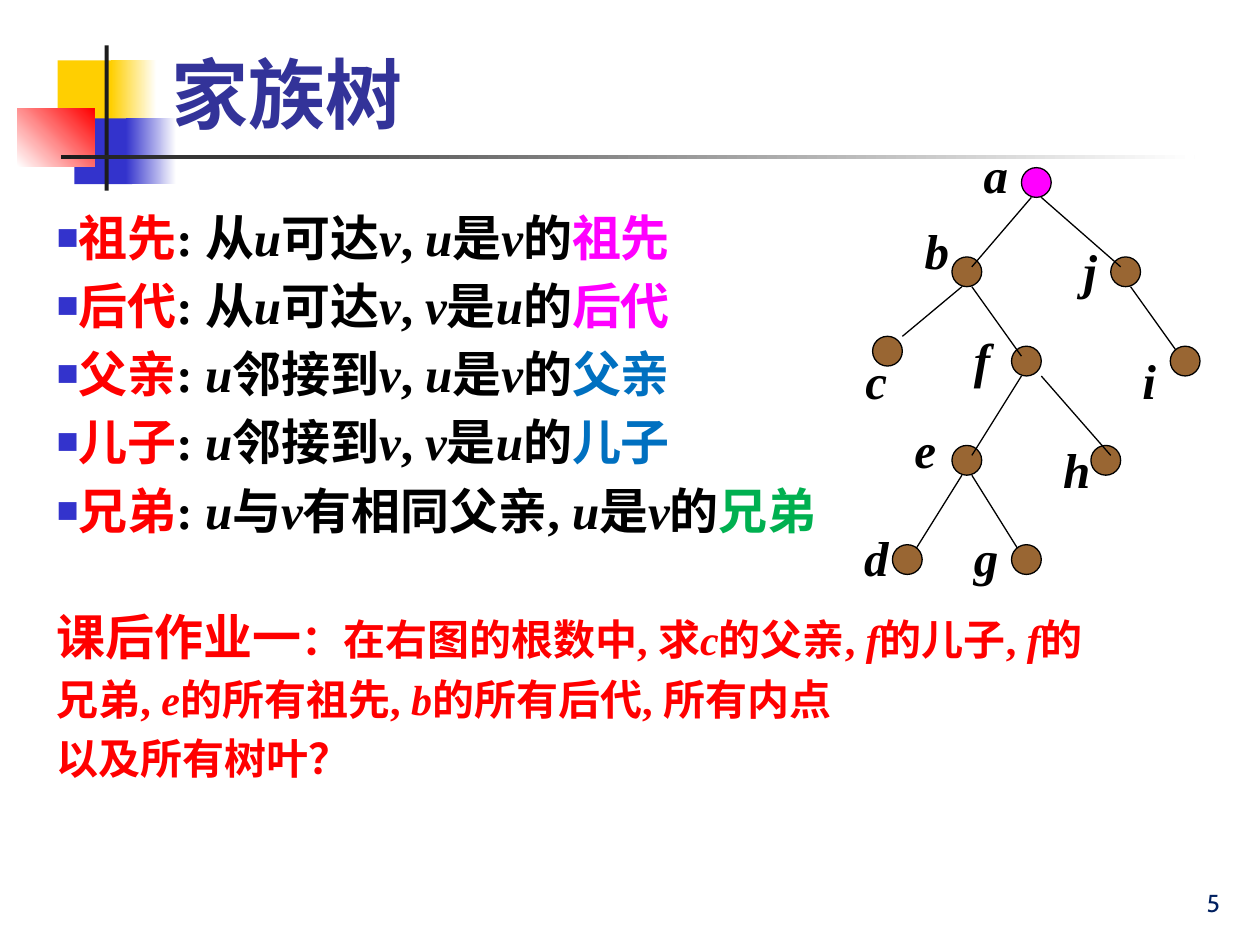
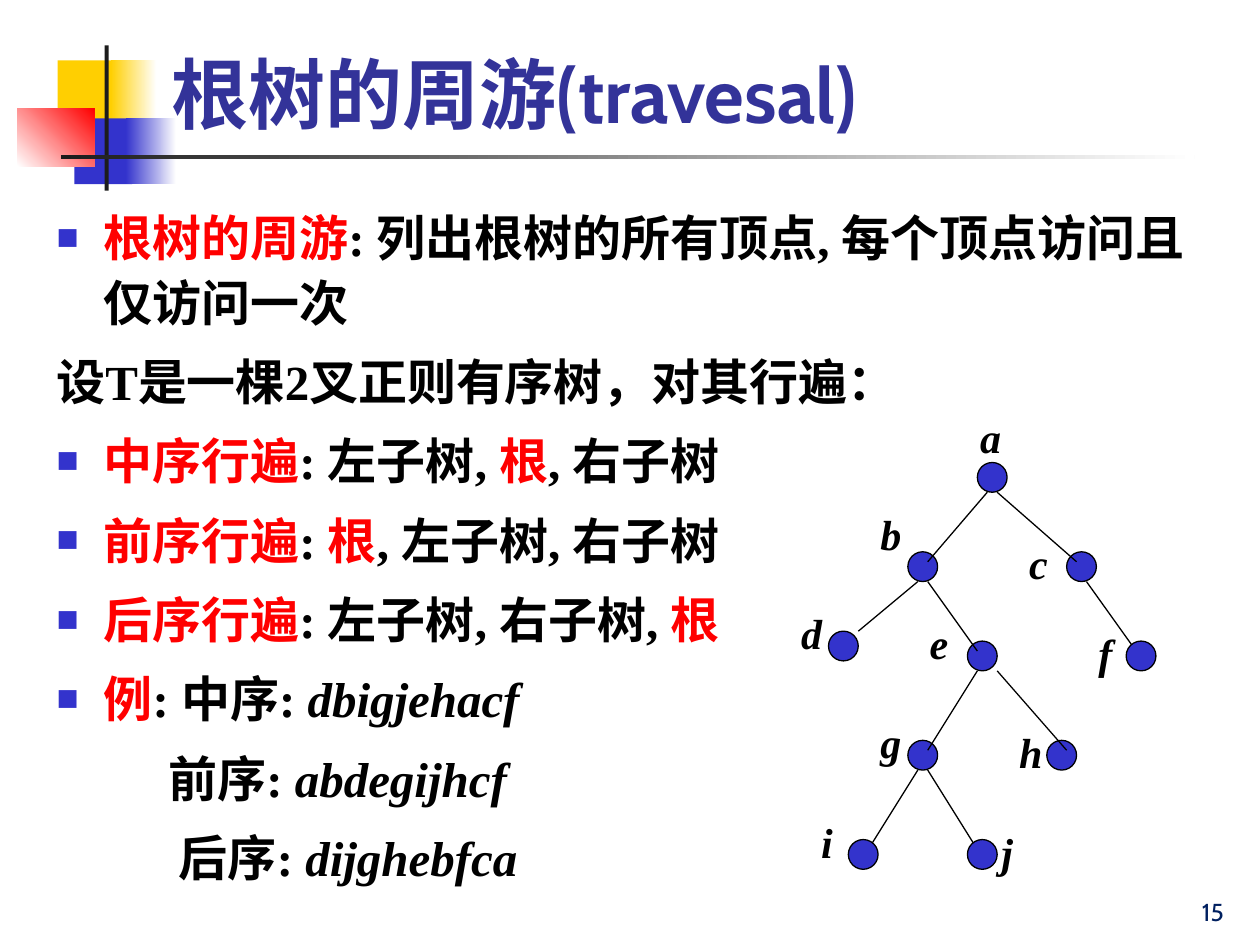
from dataclasses import dataclass
from itertools import groupby
from typing import NamedTuple, Optional

from lxml import etree
from pptx import Presentation
from pptx.dml.color import RGBColor
from pptx.enum import shapes, text
from pptx.oxml import ns
from pptx.util import Pt

BLACK = RGBColor(0x00, 0x00, 0x00)
WHITE = RGBColor(0xFF, 0xFF, 0xFF)
INK = RGBColor(0x1C, 0x1C, 0x1C)
YELLOW = RGBColor(0xFF, 0xCF, 0x01)
BLUE = RGBColor(0x33, 0x33, 0xCC)
RED = RGBColor(0xFF, 0x00, 0x00)
MAGENTA = RGBColor(0xFF, 0x00, 0xFF)
SKY = RGBColor(0x00, 0x70, 0xC0)
GREEN = RGBColor(0x00, 0xB0, 0x50)
BROWN = RGBColor(0x99, 0x66, 0x33)
TITLE_COLOR = RGBColor(0x33, 0x33, 0x99)
NUMBER_COLOR = RGBColor(0x00, 0x20, 0x60)

TITLE_FONT = "Cabin"
BODY_FONT = "Times New Roman"
BODY_SIZE = 28
HANG = 27  # width of the bullet column
GRID = 5.67  # the trees sit on a 2 mm grid


class Band(NamedTuple):
    left: float
    top: float
    width: float
    height: float
    start: RGBColor
    end: Optional[RGBColor] = None
    angle: float = 0


BANDS = [
    Band(33, 34.5, 34.5, 37.5, YELLOW),
    Band(63.4, 34.5, 26, 37.5, YELLOW, WHITE),
    Band(42.5, 67.7, 33, 37.5, BLUE),
    Band(72, 67.7, 28.8, 37.5, BLUE, WHITE),
    Band(10, 62, 44, 33.2, WHITE, RED, 45),
    Band(59.8, 26, 2.3, 83, INK),
    Band(34.7, 88.5, 648, 2.3, INK, WHITE),
]


class Span(NamedTuple):
    text: str
    color: RGBColor = BLACK
    size: float = BODY_SIZE


@dataclass
class Line:
    spans: list[Span]
    bullet: bool = True
    margin: float = 0
    indent: float = -HANG
    before: Optional[float] = None


class Node(NamedTuple):
    """Grid place of a vertex, counted from the root."""
    col: int
    row: int
    over_edges: bool = False


class Edge(NamedTuple):
    """Parent and child index, with the grid offset of each end."""
    parent: int
    child: int
    start: tuple[int, int]
    end: tuple[int, int]


NODES = [
    Node(0, 0), Node(-7, 9), Node(9, 9), Node(-15, 17), Node(-1, 18),
    Node(15, 18, True), Node(-7, 28), Node(7, 28),
    Node(-13, 38, True), Node(-1, 38, True),
]
LEFT = ((1, 3), (2, 1))
RIGHT = ((2, 3), (1, 1))
EDGES = [
    Edge(0, 1, *LEFT), Edge(0, 2, *RIGHT),
    Edge(1, 3, (1, 3), (3, 0)), Edge(1, 4, *RIGHT),
    Edge(2, 5, *RIGHT),
    Edge(4, 6, *LEFT), Edge(4, 7, (3, 3), (2, 1)),
    Edge(6, 8, *LEFT), Edge(6, 9, *RIGHT),
]


class Label(NamedTuple):
    text: str
    left: float
    top: float


@dataclass
class Tree:
    left: float
    top: float
    root_color: RGBColor
    node_color: RGBColor
    label_size: float
    labels: list[Label]


@dataclass
class Page:
    title: str
    lines: list[Line]
    gap: float
    tree: Tree
    number: str
    number_at: tuple[float, float]


def add_band(slide, band: Band) -> None:
    sp = slide.shapes.add_shape(
        shapes.MSO_SHAPE.RECTANGLE, *map(Pt, band[:4]))
    sp.shadow.inherit = False
    sp.line.fill.background()
    if band.end is None:
        sp.fill.solid()
        sp.fill.fore_color.rgb = band.start
        return
    sp.fill.gradient()
    sp.fill.gradient_angle = band.angle
    for stop, color in zip(sp.fill.gradient_stops, (band.start, band.end)):
        stop.color.rgb = color


def style(font, name: str, size: float, color: RGBColor,
          bold: bool = True, italic: bool = False) -> None:
    font.name, font.size = name, Pt(size)
    font.bold, font.italic = bold, italic
    font.color.rgb = color


def add_text(slide, left: float, top: float, width: float, height: float):
    tf = slide.shapes.add_textbox(*map(Pt, (left, top, width, height))).text_frame
    tf.word_wrap = True
    return tf


def add_title(slide, title: str) -> None:
    sp = slide.shapes.title
    sp.left, sp.top, sp.width, sp.height = map(Pt, (90.7, 5.8, 613.4, 77))
    tf = sp.text_frame
    tf.text = title
    tf.auto_size = text.MSO_AUTO_SIZE.NONE
    tf.vertical_anchor = text.MSO_ANCHOR.BOTTOM
    p = tf.paragraphs[0]
    p.alignment = text.PP_ALIGN.LEFT
    r = p.runs[0]
    style(r.font, TITLE_FONT, 44, TITLE_COLOR)
    effects = etree.Element(ns.qn("a:effectLst"))
    shadow = etree.SubElement(effects, ns.qn("a:outerShdw"),
                              dist="17961", dir="2700000")
    etree.SubElement(shadow, ns.qn("a:srgbClr"), val=str(INK))
    r.font._element.find(ns.qn("a:solidFill")).addnext(effects)


def set_bullet(p, shown: bool) -> None:
    pPr = p._p.get_or_add_pPr()
    if not shown:
        etree.SubElement(pPr, ns.qn("a:buNone"))
        return
    color = etree.SubElement(pPr, ns.qn("a:buClr"))
    etree.SubElement(color, ns.qn("a:srgbClr"), val=str(BLUE))
    etree.SubElement(pPr, ns.qn("a:buSzPct"), val="75000")
    etree.SubElement(pPr, ns.qn("a:buFont"), typeface=BODY_FONT)
    etree.SubElement(pPr, ns.qn("a:buChar"), char="■")


def is_symbol(ch: str) -> bool:
    """Vertex names are the lower-case Latin letters; they are set in italics."""
    return ch.isascii() and ch.islower()


def add_body(slide, lines: list[Line], gap: float) -> None:
    tf = add_text(slide, 25.2, 111.6, 668.9, 414)
    for i, line in enumerate(lines):
        p = tf.add_paragraph() if i else tf.paragraphs[0]
        p.line_spacing = 1.1
        if i:
            p.space_before = Pt(gap if line.before is None else line.before)
        pPr = p._p.get_or_add_pPr()
        pPr.set("marL", str(Pt(line.margin)))
        pPr.set("indent", str(Pt(line.indent)))
        set_bullet(p, line.bullet)
        for span in line.spans:
            for italic, chars in groupby(span.text, is_symbol):
                r = p.add_run()
                r.text = "".join(chars)
                style(r.font, BODY_FONT, span.size, span.color, italic=italic)


def add_tree(slide, tree: Tree) -> None:
    def place(col: float, row: float) -> tuple[Pt, Pt]:
        return Pt(tree.left + col * GRID), Pt(tree.top + row * GRID)

    def add_nodes(over_edges: bool) -> None:
        for node in NODES:
            if node.over_edges != over_edges:
                continue
            sp = slide.shapes.add_shape(
                shapes.MSO_SHAPE.OVAL, *place(node.col, node.row),
                Pt(3 * GRID), Pt(3 * GRID))
            sp.shadow.inherit = False
            sp.fill.solid()
            sp.fill.fore_color.rgb = (
                tree.root_color if node is NODES[0] else tree.node_color)
            sp.line.color.rgb = BLACK
            sp.line.width = Pt(0.75)

    add_nodes(over_edges=False)
    for edge in EDGES:
        ends = [place(NODES[n].col + dx, NODES[n].row + dy)
                for n, (dx, dy) in ((edge.parent, edge.start),
                                    (edge.child, edge.end))]
        cxn = slide.shapes.add_connector(
            shapes.MSO_CONNECTOR.STRAIGHT, *ends[0], *ends[1])
        cxn.line.color.rgb = BLACK
        cxn.line.width = Pt(0.75)
        etree.SubElement(cxn._element.spPr, ns.qn("a:effectLst"))
    add_nodes(over_edges=True)

    for label in tree.labels:
        tf = add_text(slide, label.left, label.top, 31, tree.label_size + 12)
        tf.text = label.text
        style(tf.paragraphs[0].runs[0].font, BODY_FONT, tree.label_size,
              BLACK, italic=True)


def add_number(slide, number: str, at: tuple[float, float]) -> None:
    tf = add_text(slide, *at, 149.8, 36)
    tf.vertical_anchor = text.MSO_ANCHOR.BOTTOM
    tf.text = number
    p = tf.paragraphs[0]
    p.alignment = text.PP_ALIGN.RIGHT
    style(p.runs[0].font, TITLE_FONT, 14, NUMBER_COLOR, bold=False)


def kinship(term: str, meaning: str, color: RGBColor) -> Line:
    return Line([Span(term, RED), Span(meaning), Span(term, color)])


def homework(*spans: Span, before: Optional[float] = None) -> Line:
    return Line(list(spans), bullet=False, before=before)


def item(*spans: Span) -> Line:
    return Line(list(spans), margin=HANG)


def plain(content: str, indent: float = 0) -> Line:
    return Line([Span(content)], bullet=False, indent=indent)


ROOT = Span("根", RED)
PAGES = [
    Page("家族树", [
        kinship("祖先", ": 从u可达v, u是v的", MAGENTA),
        kinship("后代", ": 从u可达v, v是u的", MAGENTA),
        kinship("父亲", ": u邻接到v, u是v的", SKY),
        kinship("儿子", ": u邻接到v, v是u的", SKY),
        kinship("兄弟", ": u与v有相同父亲, u是v的", GREEN),
        homework(Span("课后作业一", RED),
                 Span("：在右图的根数中, 求c的父亲, f的儿子, f的", RED, 24),
                 before=35),
        homework(Span("兄弟, e的所有祖先, b的所有后代, 所有内点", RED, 24)),
        homework(Span("以及所有树叶？", RED, 24)),
    ], 2, Tree(583.7, 95.8, MAGENTA, BROWN, 28, [
        Label("a", 555, 79), Label("b", 521.3, 122.4), Label("j", 612, 133.9),
        Label("c", 487.4, 196.6), Label("f", 549.4, 185),
        Label("i", 645.8, 196.6), Label("e", 515.5, 236.2),
        Label("h", 600.5, 247.7), Label("d", 486.7, 298),
        Label("g", 549.4, 298),
    ]), "5", (554.4, 491.8)),
    Page("根树的周游(travesal)", [
        item(Span("根树的周游", RED),
             Span(": 列出根树的所有顶点, 每个顶点访问且仅访问一次")),
        plain("设T是一棵2叉正则有序树，对其行遍："),
        item(Span("中序行遍", RED), Span(": 左子树, "), ROOT, Span(", 右子树")),
        item(Span("前序行遍", RED), Span(": "), ROOT, Span(", 左子树, 右子树")),
        item(Span("后序行遍", RED), Span(": 左子树, 右子树, "), ROOT),
        item(Span("例", RED), Span(": 中序: dbigjehacf")),
        plain("前序: abdegijhcf", 64),
        plain("后序: dijghebfca", 70),
    ], 8.4, Tree(558.5, 264.3, BLUE, BLUE, 24, [
        Label("a", 553, 231.8), Label("b", 496, 287.3), Label("c", 581, 303.8),
        Label("d", 450.7, 343.4), Label("e", 524.2, 349.2),
        Label("f", 620.6, 355), Label("g", 496, 406), Label("h", 575.3, 411.8),
        Label("i", 462.2, 463), Label("j", 565.2, 468.7),
    ]), "15", (556.6, 496.8)),
]


def main() -> None:
    prs = Presentation()
    prs.slide_width, prs.slide_height = Pt(720), Pt(540)
    for page in PAGES:
        slide = prs.slides.add_slide(prs.slide_layouts[5])
        for band in BANDS:
            add_band(slide, band)
        add_title(slide, page.title)
        add_body(slide, page.lines, page.gap)
        add_tree(slide, page.tree)
        add_number(slide, page.number, page.number_at)
    prs.save("out.pptx")


if __name__ == "__main__":
    main()
